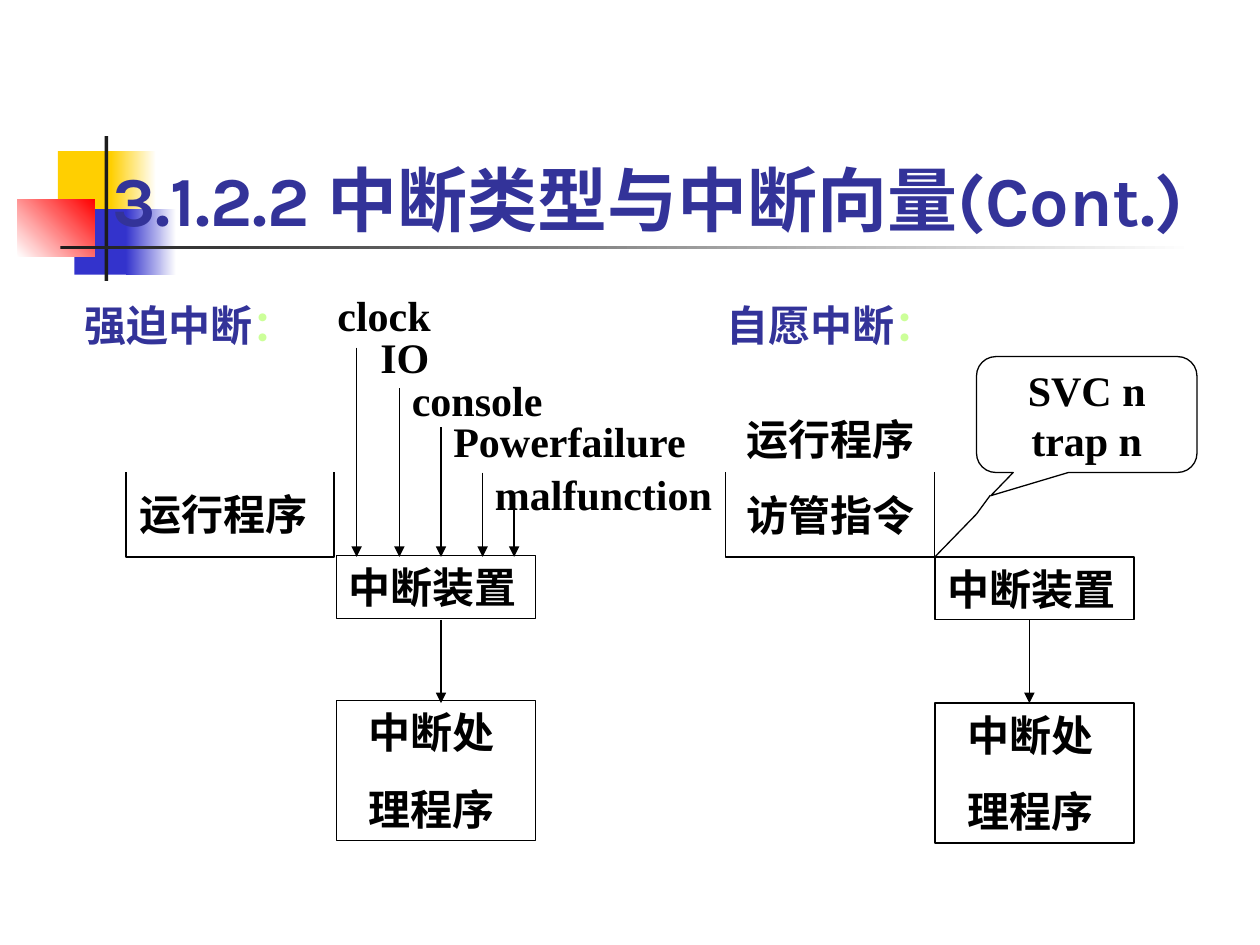
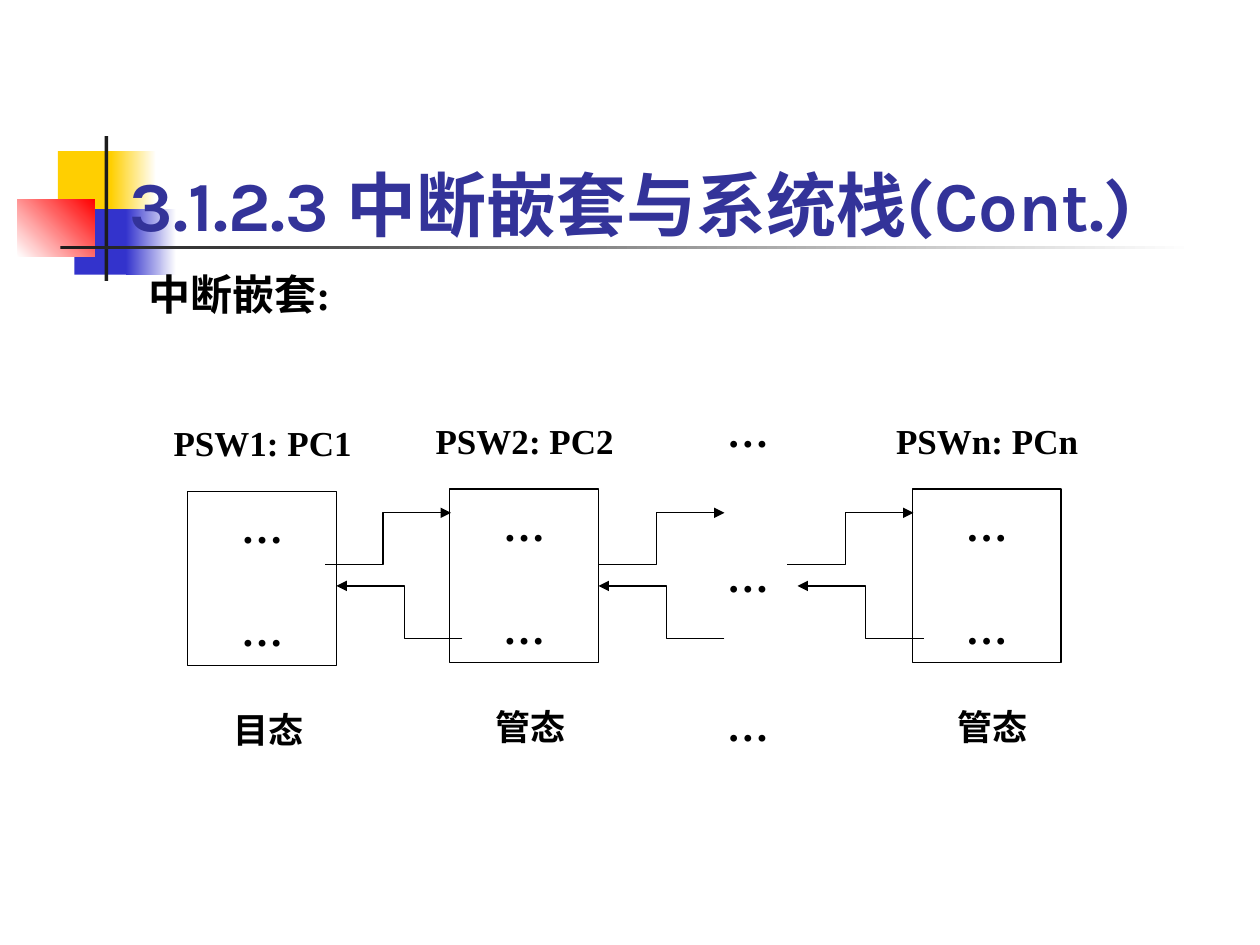
from dataclasses import dataclass
from lxml.etree import SubElement
from pptx import Presentation
from pptx.dml.color import RGBColor
from pptx.enum.shapes import MSO_CONNECTOR, MSO_SHAPE
from pptx.enum.text import MSO_ANCHOR, MSO_AUTO_SIZE, PP_ALIGN
from pptx.oxml.ns import qn
from pptx.util import Inches, Pt


@dataclass(frozen=True)
class Theme:
    ink: str = "000000"
    paper: str = "FFFFFF"
    title: str = "333399"
    mint: str = "CCFF99"
    gold: str = "FFCF01"
    blue: str = "3333CC"
    red: str = "FF0000"
    dark: str = "1C1C1C"
    head: str = "Karla"
    body: str = "Times New Roman"
    big: int = 40
    mid: int = 24
    small: int = 20
    rule: float = 0.75


T = Theme()

BANDS = [
    ((0.46, 1.2, 0.48, 0.52), [T.gold], 0),
    ((0.88, 1.2, 0.36, 0.52), [T.gold, T.paper], 0),
    ((0.59, 1.66, 0.46, 0.52), [T.blue], 0),
    ((1, 1.66, 0.4, 0.52), [T.blue, T.paper], 0),
    ((0.14, 1.58, 0.61, 0.46), [T.paper, T.red], 45),
    ((0.83, 1.08, 0.03, 1.15), [T.dark], 0),
    ((0.48, 1.95, 9, 0.03), [T.dark, T.paper], 0),
]

TYPES = "3.1.2.2 中断类型与中断向量(Cont.)"
NEST = "3.1.2.3 中断嵌套与系统栈(Cont.)"

HEADS = [("强迫中断", 0.57), ("自愿中断", 5.67)]
TRAYS = [(1, 2.65), (5.76, 7.42)]
RUNS = [
    ("运行程序\n访管指令", (5.83, 3.23, 1.58, 1.11)),
    ("运行程序", (1.01, 3.83, 1.58, 0.5)),
]
STACKS = [(2.67, 4.41, 5.56, 3.5), (7.42, 4.42, 5.58, 8.17)]
CAUSES = [
    ("clock", 2.58, 2.25, 1, 2.83, 2.76),
    ("IO", 2.92, 2.58, 0.67, 3.17, 3.08),
    ("console", 3.17, 2.92, 1.42, 3.5, 3.39),
    ("Powerfailure", 3.5, 3.25, 2.17, 3.83, 3.75),
    ("malfunction", 3.83, 3.67, 2, 4.08, 4.02),
]
CALL = ("SVC n\ntrap n", (7.75, 2.83, 1.75, 0.92), (-0.435, 0.7, 0.167))
TAIL = [(7.86, 3.93), (7.75, 4.08), (7.42, 4.42)]

LEVELS = [
    ("PSW1: PC1", "目态", 1.49, 3.9),
    ("PSW2: PC2", "管态", 3.57, 3.88),
    ("PSWn: PCn", "管态", 7.24, 3.88),
]
CALLS = [2.58, 4.75, 6.25]
BACKS = [3.67, 5.75, 7.33]
DOTS = [3.17, 4.32, 5.5]


def rgb(code):
    return RGBColor.from_string(code)


def put(frame, text, size=T.mid, color=T.ink, font=T.body, align=PP_ALIGN.LEFT,
        anchor=MSO_ANCHOR.TOP, wrap=True, gap=15, indent=0, tail="", tint=T.mint):
    frame.word_wrap = wrap
    frame.auto_size = MSO_AUTO_SIZE.NONE
    frame.vertical_anchor = anchor
    for i, line in enumerate(text.split("\n")):
        para = frame.add_paragraph() if i else frame.paragraphs[0]
        para.alignment = align
        para.space_before = Pt(gap if i else 0)
        if indent:
            props = para._p.get_or_add_pPr()
            props.set("marL", str(Inches(indent)))
            props.set("indent", "0")
        for words, shade in ((line, color), (tail, tint)):
            if words:
                run = para.add_run()
                run.text = words
                run.font.size = Pt(size)
                run.font.name = font
                run.font.bold = True
                run.font.color.rgb = rgb(shade)


def stroke(item, arrow=False):
    item.line.color.rgb = rgb(T.ink)
    item.line.width = Pt(T.rule)
    if arrow:
        SubElement(item.line._get_or_add_ln(), qn("a:tailEnd"), type="triangle")


def shape(slide, at, kind=MSO_SHAPE.RECTANGLE, fill=T.paper, edge=True):
    item = slide.shapes.add_shape(kind, *map(Inches, at))
    item.shadow.inherit = False
    if fill:
        item.fill.solid()
        item.fill.fore_color.rgb = rgb(fill)
    else:
        item.fill.background()
    if edge:
        stroke(item)
    else:
        item.line.fill.background()
    return item


def box(slide, text, at, edge=True, **fmt):
    put(shape(slide, at, edge=edge).text_frame, text, **fmt)


def label(slide, text, at, **fmt):
    put(slide.shapes.add_textbox(*map(Inches, at)).text_frame, text, **fmt)


def line(slide, start, end, arrow=True):
    item = slide.shapes.add_connector(
        MSO_CONNECTOR.STRAIGHT, *map(Inches, (*start, *end)))
    stroke(item, arrow)
    SubElement(item._element.spPr, qn("a:effectLst"))


def trace(slide, points, arrow=False):
    first, *rest = [(Inches(x), Inches(y)) for x, y in points]
    pen = slide.shapes.build_freeform(*first)
    pen.add_line_segments(rest, close=False)
    item = pen.convert_to_shape()
    item.shadow.inherit = False
    item.fill.background()
    stroke(item, arrow)


def brand(slide):
    tree = slide.slide_layout.shapes.element
    for i, (at, tones, angle) in enumerate(BANDS):
        item = shape(slide, at, fill=tones[0], edge=False)
        if len(tones) > 1:
            item.fill.gradient()
            item.fill.gradient_angle = angle
            for stop, tone, spot in zip(item.fill.gradient_stops, tones, (0, 1)):
                stop.color.rgb = rgb(tone)
                stop.position = spot
        item.element.nvSpPr.cNvPr.set("id", str(100 + i))
        tree.insert(2 + i, item.element)


def start(deck, text, at):
    slide = deck.slides.add_slide(deck.slide_layouts[5])
    title = slide.shapes.title
    title.left, title.top, title.width, title.height = map(Inches, at)
    put(title.text_frame, text, size=T.big, color=T.title, font=T.head,
        anchor=MSO_ANCHOR.BOTTOM)
    return slide


def types(slide):
    for left, right in TRAYS:
        trace(slide, [(left, 3.75), (left, 4.42), (right, 4.42), (right, 3.75)])
    for text, at in RUNS:
        box(slide, text, at, edge=False)
    for left, top, low, mid in STACKS:
        box(slide, "中断装置", (left, top, 1.58, 0.5))
        box(slide, "中断处\n理程序", (left, low, 1.58, 1.11), indent=0.16)
        line(slide, (mid, 4.92), (mid, 5.58))
    for text, left, top, width, x, y in CAUSES:
        line(slide, (x, y), (x, 4.42))
        label(slide, text, (left, top, width, 0.5))
    for text, left in HEADS:
        label(slide, text, (left, 2.33, 1.93, 0.5), color=T.title, tail="：")
    text, at, bends = CALL
    call = shape(slide, at, MSO_SHAPE.ROUNDED_RECTANGULAR_CALLOUT, fill=None)
    for i, bend in enumerate(bends):
        call.adjustments[i] = bend
    put(call.text_frame, text, align=PP_ALIGN.CENTER, anchor=MSO_ANCHOR.MIDDLE,
        wrap=False, gap=0)
    for a, b in zip(TAIL, TAIL[1:]):
        line(slide, a, b, arrow=False)


def nest(slide):
    label(slide, "中断嵌套:", (1.08, 2.08, 5.92, 0.5))
    for name, state, left, top in LEVELS:
        box(slide, "…\n…", (left, top, 1.18, 1.38), align=PP_ALIGN.CENTER,
            anchor=MSO_ANCHOR.MIDDLE, wrap=False, gap=30)
        label(slide, state, (left + 0.18, top + 1.67, 0.92, 0.44),
              size=T.small, align=PP_ALIGN.CENTER)
        label(slide, name, (left - 0.24, top - 0.6, 1.67, 0.44),
              size=T.small, align=PP_ALIGN.CENTER)
    for lefts, low, high, way in ((CALLS, 4.48, 4.07, 1), (BACKS, 5.07, 4.65, -1)):
        for x in lefts:
            bend = x + 0.46 * way
            trace(slide, [(x, low), (bend, low), (bend, high), (x + way, high)],
                  arrow=True)
    for top in DOTS:
        label(slide, "…", (5.67, top, 0.67, 0.5))


def main():
    deck = Presentation()
    deck.slide_width, deck.slide_height = Inches(10), Inches(7.5)
    first = start(deck, TYPES, (0.79, 0.71, 9.69, 1.25))
    brand(first)
    types(first)
    nest(start(deck, NEST, (0.93, 1, 8.77, 1)))
    deck.save("out.pptx")


if __name__ == "__main__":
    main()
